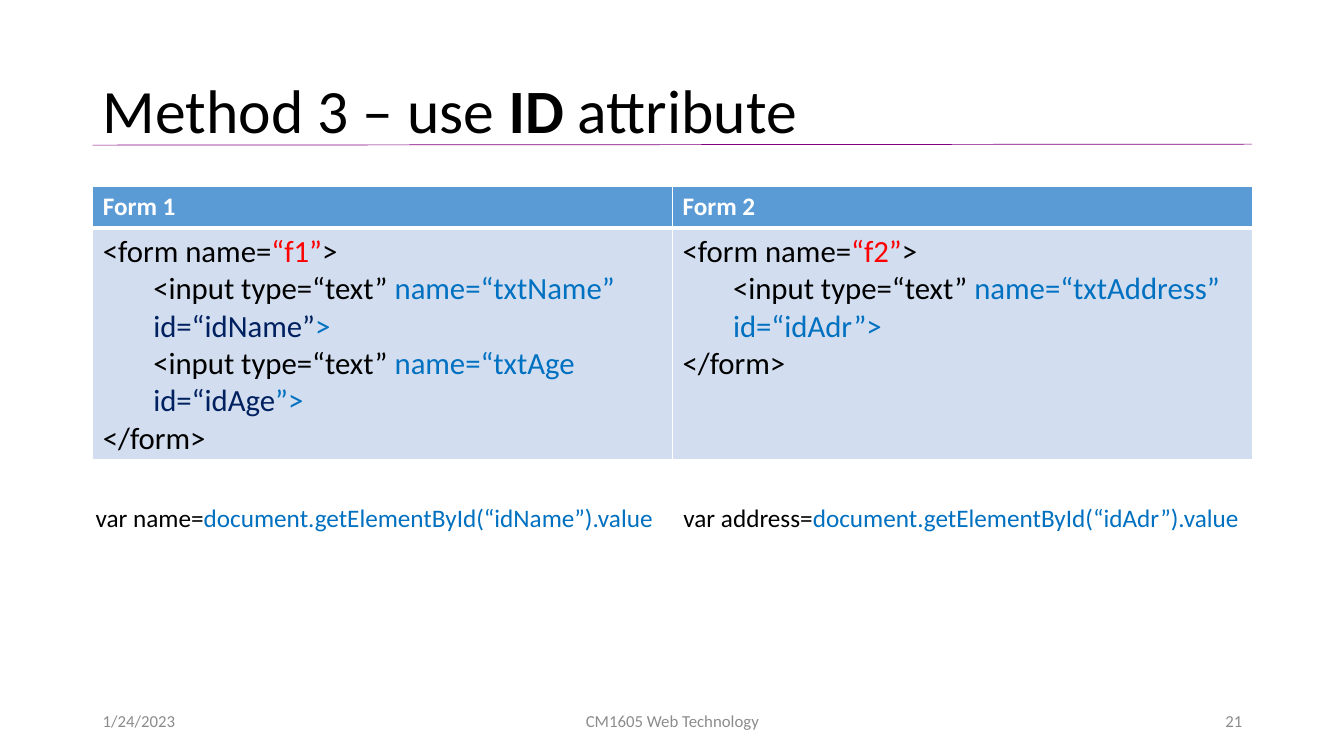
from lxml import etree
from pptx import Presentation
from pptx.dml.color import RGBColor
from pptx.enum.shapes import MSO_CONNECTOR
from pptx.enum.text import MSO_ANCHOR, PP_ALIGN
from pptx.oxml.ns import qn
from pptx.util import Inches, Pt

BLACK = RGBColor(0x00, 0x00, 0x00)
WHITE = RGBColor(0xFF, 0xFF, 0xFF)
RED = RGBColor(0xFF, 0x00, 0x00)
BLUE = RGBColor(0x00, 0x70, 0xC0)
NAVY = RGBColor(0x00, 0x20, 0x60)
GREY = RGBColor(0x8C, 0x8C, 0x8C)
PURPLE = RGBColor(0x80, 0x00, 0x80)
HEADER_BLUE = RGBColor(0x5B, 0x9B, 0xD5)
BODY_BLUE = RGBColor(0xD2, 0xDE, 0xEF)

LEFT, WIDTH = 0.92, 11.5

# Each line of code is (indent in inches, [(text, colour), ...])
INPUT_START = ("<input type=“text” ", BLACK)
FORM_END = (0, [("</form>", BLACK)])
FORMS = {
    "Form 1": [
        (0, [("<form name=", BLACK), ("“f1”", RED), (">", BLACK)]),
        (0.5, [INPUT_START, ("name=“txtName” ", BLUE), ("id=“idName”", NAVY), (">", BLUE)]),
        (0.5, [INPUT_START, ("name=“txtAge ", BLUE), ("id=“idAge", NAVY), ("”>", BLUE)]),
        FORM_END,
    ],
    "Form 2": [
        (0, [("<form name=", BLACK), ("“f2”", RED), (">", BLACK)]),
        (0.5, [INPUT_START, ("name=“txtAddress” id=“idAdr”>", BLUE)]),
        FORM_END,
    ],
}


def add_run(paragraph, text, color, **font_format):
    run = paragraph.add_run()
    run.text = text
    run.font.color.rgb = color
    for attribute, value in {"name": "Calibri", "bold": False, **font_format}.items():
        setattr(run.font, attribute, value)


def add_text_area(slide, left, top, width, height, **frame_format):
    box = slide.shapes.add_textbox(Inches(left), Inches(top), Inches(width), Inches(height))
    for attribute, value in {"word_wrap": True, **frame_format}.items():
        setattr(box.text_frame, attribute, value)
    return box.text_frame.paragraphs[0]


def write_code(text_frame, lines, size):
    for number, (indent, pieces) in enumerate(lines):
        paragraph = text_frame.add_paragraph() if number else text_frame.paragraphs[0]
        paragraph._p.get_or_add_pPr().set("marL", str(Inches(indent)))
        for text, color in pieces:
            add_run(paragraph, text, color, size=size)


def style_cell(cell, fill_color, bottom_width):
    # Borders come before the fill in the cell properties
    properties = cell._tc.get_or_add_tcPr()
    for side, width in {"lnL": 1, "lnR": 1, "lnT": 1, "lnB": bottom_width}.items():
        border = etree.SubElement(properties, qn(f"a:{side}"), w=str(Pt(width)))
        border_fill = etree.SubElement(border, qn("a:solidFill"))
        etree.SubElement(border_fill, qn("a:srgbClr"), val=str(WHITE))
    cell.fill.solid()
    cell.fill.fore_color.rgb = fill_color


def add_title(slide, left, top, width, height):
    # Rule under the title
    rule = slide.shapes.add_connector(
        MSO_CONNECTOR.STRAIGHT, Inches(left), Inches(top + 1.04),
        Inches(left + width), Inches(top + 1.03))
    rule.line.color.rgb = PURPLE
    rule.line.width = Pt(0.5)
    etree.SubElement(rule._element.spPr, qn("a:effectLst"))

    # Heading
    heading = add_text_area(slide, left, top, width, height, vertical_anchor=MSO_ANCHOR.MIDDLE)
    heading.line_spacing = 0.9
    for text, bold in (("Method 3 – use ", False), ("ID", True), (" attribute", False)):
        add_run(heading, text, BLACK, size=Pt(44), bold=bold)


def add_forms_table(slide, left, top, width, height):
    header_height = 0.41
    table = slide.shapes.add_table(
        2, len(FORMS), Inches(left), Inches(top), Inches(width), Inches(height)).table
    table.rows[0].height = Inches(header_height)
    table.rows[1].height = Inches(height - header_height)
    for column, (form_name, lines) in enumerate(FORMS.items()):
        header, body = table.cell(0, column), table.cell(1, column)
        style_cell(header, HEADER_BLUE, 3)
        add_run(header.text_frame.paragraphs[0], form_name, WHITE, size=Pt(18), bold=True)
        style_cell(body, BODY_BLUE, 1)
        write_code(body.text_frame, lines, Pt(22))


def add_lookup(slide, left, top, width, height, variable, element_id, indent=0):
    paragraph = add_text_area(slide, left, top, width, height)
    paragraph._p.get_or_add_pPr().set("marL", str(Inches(indent)))
    add_run(paragraph, f"var {variable}=", BLACK, size=Pt(18))
    add_run(paragraph, f"document.getElementById(“{element_id}”).value", BLUE, size=Pt(18))


def add_footer(slide, left, top, width, height):
    side, middle = 3, 4.5
    for offset, part_width, text, alignment in (
        (0, side, "1/24/2023", PP_ALIGN.LEFT),
        ((width - middle) / 2, middle, "CM1605 Web Technology", PP_ALIGN.CENTER),
        (width - side, side, "21", PP_ALIGN.RIGHT),
    ):
        paragraph = add_text_area(slide, left + offset, top, part_width, height,
                                  vertical_anchor=MSO_ANCHOR.MIDDLE)
        paragraph.alignment = alignment
        add_run(paragraph, text, GREY, size=Pt(12))


def main():
    deck = Presentation()
    deck.slide_width, deck.slide_height = Inches(13.33), Inches(7.5)
    slide = deck.slides.add_slide(deck.slide_layouts[6])
    add_title(slide, LEFT, 0.4, WIDTH, 1.45)
    add_forms_table(slide, LEFT, 1.85, WIDTH, 2.71)
    add_footer(slide, LEFT, 6.95, WIDTH, 0.4)
    add_lookup(slide, 0.55, 4.93, 6.1, 0.4, "name", "idName", indent=0.3)
    add_lookup(slide, 6.68, 4.93, 6.15, 0.4, "address", "idAdr")
    deck.save("out.pptx")


if __name__ == "__main__":
    main()
